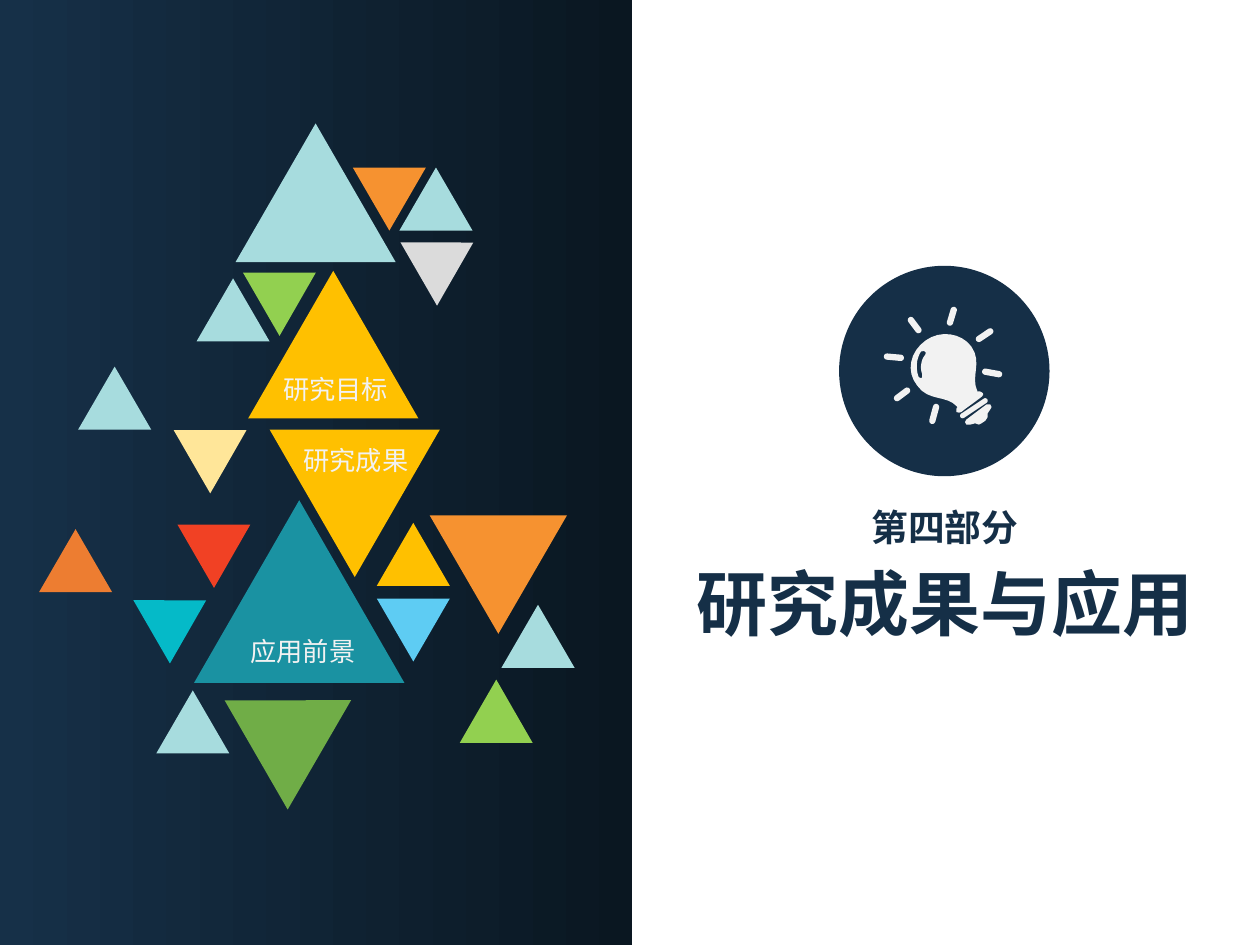
import math

from lxml import etree
from pptx import Presentation
from pptx import util as u
from pptx.dml.color import RGBColor
from pptx.enum import shapes, text
from pptx.oxml.ns import qn

NAVY = RGBColor(0x15, 0x2F, 0x47)
PANEL_LEFT = RGBColor(0x16, 0x30, 0x48)
PANEL_RIGHT = RGBColor(0x0A, 0x17, 0x21)
PALE = RGBColor(0xF2, 0xF2, 0xF2)
MIST = RGBColor(0xA7, 0xDC, 0xDE)
CREAM = RGBColor(0xFF, 0xE6, 0x99)
GOLD = RGBColor(0xFF, 0xC0, 0x00)
TEAL = RGBColor(0x1A, 0x92, 0xA2)
RUST = RGBColor(0xED, 0x7D, 0x31)
LIME = RGBColor(0x92, 0xD0, 0x50)
GREY = RGBColor(0xDB, 0xDB, 0xDB)
CYAN = RGBColor(0x05, 0xBA, 0xC8)
ORANGE = RGBColor(0xF6, 0x92, 0x30)
SKY = RGBColor(0x5E, 0xCC, 0xF3)
RED = RGBColor(0xF1, 0x41, 0x24)
GREEN = RGBColor(0x70, 0xAD, 0x47)

FONT = "Noto Sans CJK SC"
SMALL = 0.58

# left, top, width, rotation, colour
TRIANGLES = [
    (0.62, 2.91, SMALL, 0, MIST),
    (3.17, 1.33, SMALL, 0, MIST),
    (1.45, 3.29, SMALL, 60, CREAM),
    (2.14, 3.41, 1.35, 180, GOLD),
    (1.54, 3.97, 1.67, 0, TEAL),
    (1.24, 5.48, SMALL, 0, MIST),
    (0.31, 4.2, SMALL, 0, RUST),
    (1.56, 2.21, SMALL, 0, MIST),
    (2, 2.04, SMALL, 60, LIME),
    (3.25, 1.8, SMALL, 60, GREY),
    (1.13, 4.64, SMALL, 60, CYAN),
    (3.41, 4.09, 1.09, 180, ORANGE),
    (2.99, 4.15, SMALL, 0, GOLD),
    (2.99, 4.75, SMALL, 180, SKY),
    (1.48, 4.04, SMALL, 60, RED),
    (1.91, 5.34, 1, 60, GREEN),
    (3.98, 4.8, SMALL, 0, MIST),
    (1.97, 2.15, 1.35, 0, GOLD),
    (3.72, 5.52, SMALL, 120, LIME),
    (1.87, 0.98, 1.27, 0, MIST),
    (2.8, 1.33, SMALL, 180, ORANGE),
]

LABELS = [("研究目标", 2.15, 2.91), ("研究成果", 2.31, 3.48), ("应用前景", 1.89, 4.99)]

# Each ray runs from its inner to its outer end
RAYS = [
    ((7.29, 2.62), (7.23, 2.54)),
    ((7.15, 2.84), (7.04, 2.83)),
    ((7.2, 3.1), (7.12, 3.16)),
    ((7.43, 3.23), (7.4, 3.34)),
    ((7.82, 2.95), (7.93, 2.97)),
    ((7.77, 2.69), (7.86, 2.63)),
    ((7.54, 2.56), (7.57, 2.46)),
]
SCREW_BAND = ((7.82, 3.18), (7.64, 3.3))

# A start point, then curves as two control points and an end point
GLASS = [
    (7.8, 3.12),
    (7.81, 3.13), (7.8, 3.14), (7.79, 3.15),
    (7.74, 3.19), (7.68, 3.23), (7.63, 3.27),
    (7.61, 3.28), (7.6, 3.27), (7.59, 3.27),
    (7.59, 3.25), (7.59, 3.24), (7.6, 3.23),
    (7.51, 3.13), (7.37, 3.19), (7.28, 3.06),
    (7.19, 2.95), (7.22, 2.79), (7.35, 2.7),
    (7.46, 2.62), (7.63, 2.64), (7.71, 2.75),
    (7.8, 2.88), (7.7, 2.99), (7.76, 3.11),
    (7.77, 3.1), (7.79, 3.11), (7.8, 3.12),
]
HIGHLIGHT = [
    (7.34, 2.79),
    (7.33, 2.78), (7.32, 2.79), (7.31, 2.79),
    (7.27, 2.85), (7.27, 2.93), (7.29, 2.99),
    (7.29, 2.99), (7.3, 3), (7.31, 3),
    (7.31, 3), (7.32, 3), (7.32, 2.99),
    (7.32, 2.99), (7.32, 2.98), (7.32, 2.97),
    (7.3, 2.92), (7.31, 2.86), (7.34, 2.82),
    (7.35, 2.81), (7.35, 2.79), (7.34, 2.79),
]
SCREW_TIP = [
    (7.83, 3.21), (7.67, 3.33), (7.66, 3.35), (7.67, 3.37), (7.7, 3.37),
    (7.74, 3.36), (7.77, 3.37), (7.79, 3.36), (7.82, 3.34), (7.84, 3.31),
    (7.84, 3.28), (7.86, 3.25), (7.87, 3.23), (7.86, 3.21),
]


def paint(shape, colour):
    shape.fill.solid()
    shape.fill.fore_color.rgb = colour
    shape.line.fill.background()
    shape.shadow.inherit = False


def curve_points(nodes, steps=8):
    """Sample a chain of cubic curves as an outline."""
    outline = [nodes[0]]
    for i in range(0, len(nodes) - 1, 3):
        for step in range(1, steps + 1):
            t = step / steps
            weights = ((1 - t) ** 3, 3 * t * (1 - t) ** 2, 3 * t * t * (1 - t), t ** 3)
            outline.append(tuple(
                sum(w * node[axis] for w, node in zip(weights, nodes[i:i + 4]))
                for axis in (0, 1)))
    return outline


def capsule_points(start, end, radius, steps=6):
    """Outline a bar with round ends."""
    heading = math.atan2(end[1] - start[1], end[0] - start[0])
    outline = []
    for (x, y), first in ((end, heading - math.pi / 2), (start, heading + math.pi / 2)):
        for step in range(steps + 1):
            angle = first + math.pi * step / steps
            outline.append((x + radius * math.cos(angle), y + radius * math.sin(angle)))
    return outline


def add_panel(slide):
    panel = slide.shapes.add_shape(
        shapes.MSO_SHAPE.RECTANGLE, 0, 0, u.Inches(5.02), u.Inches(7.5))
    paint(panel, PANEL_LEFT)
    panel.fill.gradient()
    panel.fill.gradient_angle = 0
    for stop, colour in zip(panel.fill.gradient_stops, (PANEL_LEFT, PANEL_RIGHT)):
        stop.color.rgb = colour


def add_triangle(slide, left, top, width, rotation, colour):
    """Add an equilateral triangle."""
    height = round(width * math.sqrt(3) / 2, 2)
    triangle = slide.shapes.add_shape(
        shapes.MSO_SHAPE.ISOSCELES_TRIANGLE,
        *map(u.Inches, (left, top, width, height)))
    triangle.rotation = rotation
    paint(triangle, colour)


def add_text(slide, words, box, align, **font_format):
    frame = slide.shapes.add_textbox(*map(u.Inches, box)).text_frame
    frame.word_wrap = False
    frame.auto_size = text.MSO_AUTO_SIZE.SHAPE_TO_FIT_TEXT
    paragraph = frame.paragraphs[0]
    paragraph.alignment = align
    run = paragraph.add_run()
    run.text = words
    colour = font_format.pop("colour")
    for name, value in font_format.items():
        setattr(run.font, name, value)
    run.font.color.rgb = colour
    run.font.name = FONT
    etree.SubElement(run.font._element, qn("a:ea")).set("typeface", FONT)


def add_bulb_badge(slide):
    badge = slide.shapes.add_group_shape()
    disc = badge.shapes.add_shape(
        shapes.MSO_SHAPE.OVAL, *map(u.Inches, (6.66, 2.11, 1.67, 1.67)))
    paint(disc, NAVY)

    outlines = [curve_points(GLASS), curve_points(HIGHLIGHT), SCREW_TIP,
                capsule_points(*SCREW_BAND, 0.02)]
    outlines += [capsule_points(*ray, 0.025) for ray in RAYS]
    outlines = [[(u.Inches(x), u.Inches(y)) for x, y in outline] for outline in outlines]
    builder = badge.shapes.build_freeform(*outlines[0][0])
    for i, outline in enumerate(outlines):
        if i:
            builder.move_to(*outline[0])
        builder.add_line_segments(outline[1:], close=True)
    paint(builder.convert_to_shape(), PALE)


def main():
    deck = Presentation()
    deck.slide_width, deck.slide_height = u.Inches(10), u.Inches(7.5)
    slide = deck.slides.add_slide(deck.slide_layouts[6])
    add_panel(slide)
    heading = {"align": text.PP_ALIGN.CENTER, "bold": True, "colour": NAVY}
    add_text(slide, "研究成果与应用", (5.41, 4.39, 4.18, 0.78), size=u.Pt(40.5), **heading)
    add_text(slide, "第四部分", (6.81, 3.96, 1.38, 0.45), size=u.Pt(21), **heading)
    add_bulb_badge(slide)
    for triangle in TRIANGLES:
        add_triangle(slide, *triangle)
    for words, left, top in LABELS:
        add_text(slide, words, (left, top, 1.04, 0.35), text.PP_ALIGN.LEFT,
                 size=u.Pt(15), colour=PALE)
    deck.save("out.pptx")


if __name__ == "__main__":
    main()
